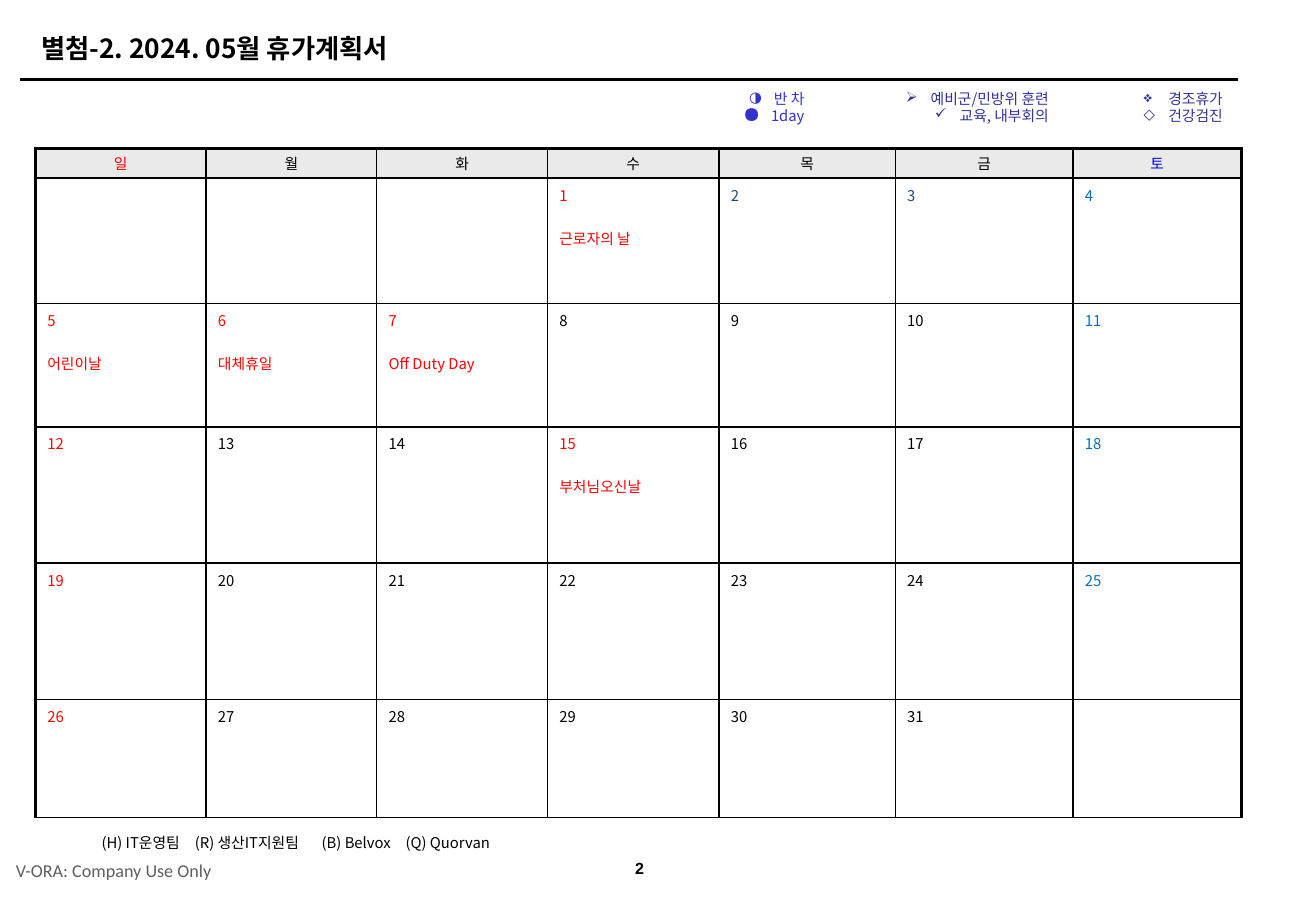
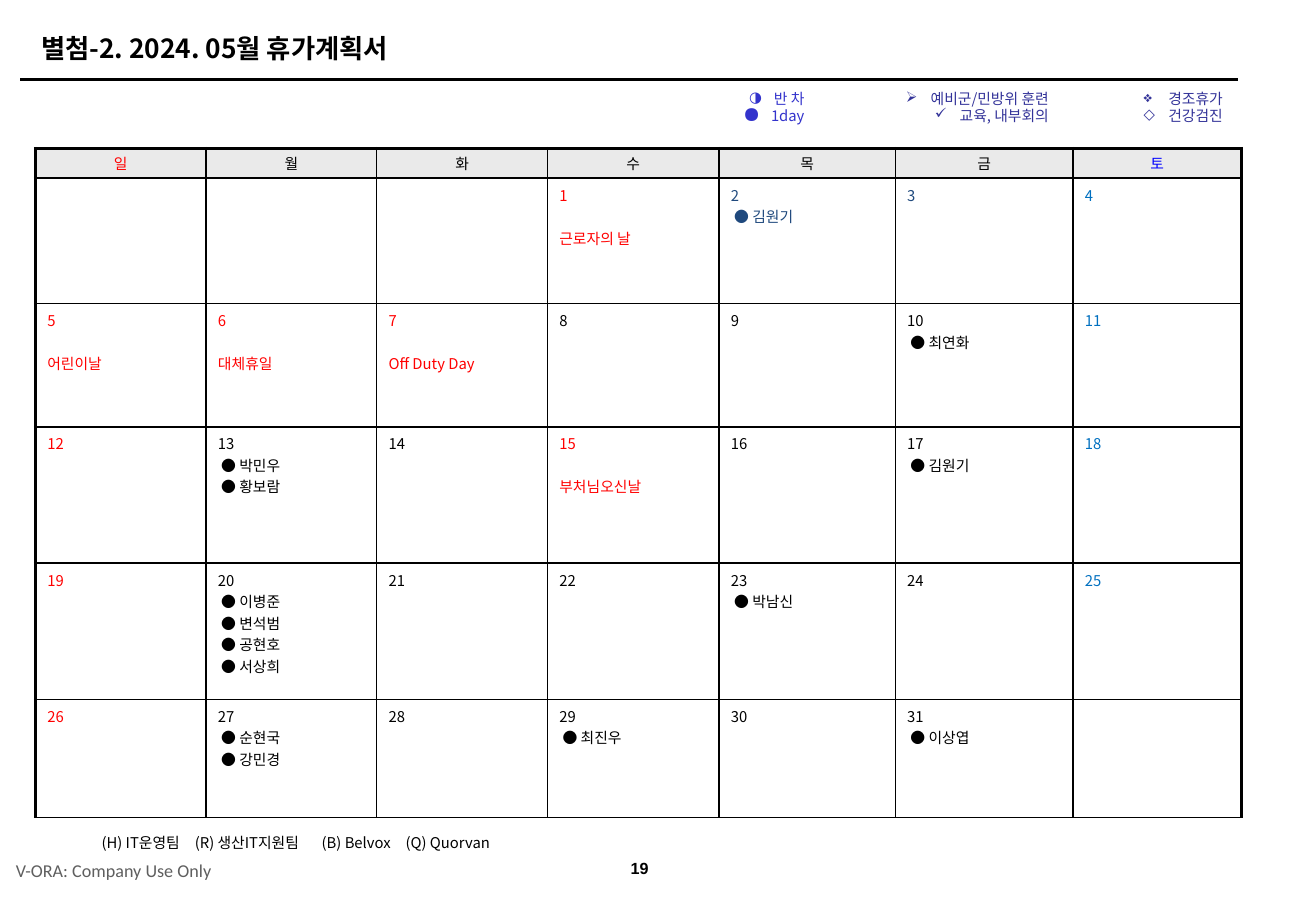
from dataclasses import dataclass, field
from typing import NamedTuple

from lxml.etree import SubElement
from pptx import Presentation
from pptx.dml.color import RGBColor
from pptx.enum.shapes import MSO_CONNECTOR as Connector
from pptx.enum.text import MSO_ANCHOR as Anchor, PP_ALIGN as Align
from pptx.oxml.ns import qn
from pptx.util import Cm, Pt

# Shared look
KOREAN = "Noto Sans CJK KR"
BLACK, RED, BLUE, NAVY, SKY = "000000", "FF0000", "0000FF", "1F497D", "0070C0"
VIOLET, INDIGO, GREY, HEADER_FILL = "3333CC", "333399", "5F5F5F", "EAEAEA"
TITLE = {"name": KOREAN, "size": Pt(16), "bold": True}
BODY = {"name": KOREAN, "size": Pt(9), "bold": False}
FOOTER = {"name": "Calibri", "size": Pt(11), "bold": False}
PAGE_NUMBER = {"name": "Arial", "size": Pt(9.8), "bold": True}

# Calendar data
WEEKDAYS = "일월화수목금토"
FIRST_COLUMN, LAST_DAY = 3, 31
COLUMN_WIDTHS = (3.66, 3.66, 3.66, 3.68, 3.78, 3.81, 3.61)
ROW_HEIGHTS = (0.64, 2.69, 2.64, 2.92, 2.92, 2.54)
HOLIDAYS = {1: "근로자의 날", 5: "어린이날", 6: "대체휴일",
            7: "Off Duty Day", 15: "부처님오신날"}
BRIDGE_DAYS = (2, 3)
LEAVE = {2: ["김원기"], 10: ["최연화"], 13: ["박민우", "황보람"], 17: ["김원기"],
         20: ["이병준", "변석범", "공현호", "서상희"], 23: ["박남신"],
         27: ["순현국", "강민경"], 29: ["최진우"], 31: ["이상엽"]}
TEAMS = ("(H) IT운영팀", "(R) 생산IT지원팀", "(B) Belvox", "(Q) Quorvan")


class Box(NamedTuple):
    left: float
    top: float
    width: float
    height: float


class Bullet(NamedTuple):
    symbol: str
    percent: int = 100


@dataclass
class Line:
    text: str
    color: str = BLACK
    style: dict = field(default_factory=lambda: BODY)
    layout: dict = field(default_factory=dict)
    margin: float = 0
    bullet: Bullet | None = None
    tabs: tuple[float, ...] = ()


@dataclass
class Legend:
    box: Box
    color: str
    items: tuple[tuple[Bullet, str], ...]


LEGENDS = (
    Legend(Box(15.67, 1.83, 1.83, 1.02), VIOLET,
           ((Bullet("◑"), "반 차"), (Bullet("●", 150), " 1day"))),
    Legend(Box(18.82, 1.83, 3.92, 1.02), INDIGO,
           ((Bullet("➢"), "예비군/민방위 훈련"), (Bullet("✓"), "교육, 내부회의"))),
    Legend(Box(21.82, 1.83, 4.65, 1.02), INDIGO,
           ((Bullet("❖"), "경조휴가"), (Bullet("◇"), "건강검진"))),
)


def rgb(color: str) -> RGBColor:
    return RGBColor.from_string(color)


def apply(target, values: dict) -> None:
    for name, value in values.items():
        setattr(target, name, value)


# Text
def add_bullet(properties, bullet: Bullet, color: str) -> None:
    properties.set("indent", str(-int(properties.get("marL"))))
    SubElement(SubElement(properties, qn("a:buClr")), qn("a:srgbClr"), val=color)
    SubElement(properties, qn("a:buSzPct"), val=str(bullet.percent * 1000))
    SubElement(properties, qn("a:buChar"), char=bullet.symbol)


def write(frame, lines: list[Line]) -> None:
    for index, line in enumerate(lines):
        paragraph = frame.add_paragraph() if index else frame.paragraphs[0]
        apply(paragraph, line.layout)
        properties = paragraph._p.get_or_add_pPr()
        if line.margin:
            properties.set("marL", str(Cm(line.margin)))
        if line.bullet:
            add_bullet(properties, line.bullet, line.color)
        if line.tabs:
            tab_list = SubElement(properties, qn("a:tabLst"))
            for position in line.tabs:
                SubElement(tab_list, qn("a:tab"), pos=str(Cm(position)), algn="l")
        run = paragraph.add_run()
        run.text = line.text
        apply(run.font, line.style)
        run.font.color.rgb = rgb(line.color)
        SubElement(run._r.get_or_add_rPr(), qn("a:ea"), typeface=line.style["name"])


def add_text(slide, box: Box, lines: list[Line], anchor=Anchor.MIDDLE) -> None:
    shape = slide.shapes.add_textbox(*map(Cm, box))
    apply(shape.text_frame, {"word_wrap": True, "vertical_anchor": anchor})
    write(shape.text_frame, lines)


# Title, rule, legends and footer
def add_frame(slide, page: int) -> None:
    rule = slide.shapes.add_connector(
        Connector.STRAIGHT, Cm(0.43), Cm(1.7), Cm(26.54), Cm(1.7))
    rule.line.color.rgb = rgb(BLACK)
    rule.line.width = Pt(1.5)
    SubElement(rule._element.spPr, qn("a:effectLst"))

    centred = {"alignment": Align.CENTER}
    add_text(slide, Box(0.64, 0.56, 25.15, 0.94),
             [Line("별첨-2. 2024. 05월 휴가계획서", style=TITLE)])
    add_text(slide, Box(13.03, 18.21, 1.37, 0.79),
             [Line(str(page), style=PAGE_NUMBER, layout=centred)])
    add_text(slide, Box(0, 18.26, 4.88, 0.79),
             [Line("V-ORA: Company Use Only", GREY, FOOTER, centred)])
    add_text(slide, Box(1.93, 17.78, 9.4, 0.61),
             [Line("\t".join(TEAMS), layout={"line_spacing": 0.95},
                   tabs=(2.0, 4.72, 6.52))])
    for legend in LEGENDS:
        add_text(slide, legend.box,
                 [Line(text, legend.color, margin=0.53, bullet=bullet,
                       layout={"alignment": Align.RIGHT, "line_spacing": 0.95})
                  for bullet, text in legend.items], Anchor.TOP)


# Calendar
def day_color(day: int, column: int) -> str:
    if day in HOLIDAYS or column == 0:
        return RED
    if column == len(WEEKDAYS) - 1:
        return SKY
    return NAVY if day in BRIDGE_DAYS else BLACK


def day_lines(day: int, column: int, leave: dict[int, list[str]]) -> list[Line]:
    color = day_color(day, column)
    lines = [Line(str(day), color)]
    if day in HOLIDAYS:
        lines.append(Line(HOLIDAYS[day], color, layout={"space_before": Pt(13)}))
    return lines + [Line(f"● {name}", color, margin=0.07)
                    for name in leave.get(day, [])]


def add_borders(cell, row: int, column: int) -> None:
    widths = {"L": 1 if column else 2,
              "R": 2 if column == len(WEEKDAYS) - 1 else 1,
              "T": 1 if row else 2, "B": 1}
    properties = cell._tc.get_or_add_tcPr()
    for side, width in widths.items():
        border = SubElement(properties, qn(f"a:ln{side}"), w=str(Pt(width)))
        SubElement(SubElement(border, qn("a:solidFill")), qn("a:srgbClr"), val=BLACK)


def add_calendar(slide, leave: dict[int, list[str]]) -> None:
    box = Box(0.76, 3.18, sum(COLUMN_WIDTHS), sum(ROW_HEIGHTS))
    table = slide.shapes.add_table(
        len(ROW_HEIGHTS), len(COLUMN_WIDTHS), *map(Cm, box)).table
    apply(table, {"first_row": False, "horz_banding": False})
    for column, width in zip(table.columns, COLUMN_WIDTHS):
        column.width = Cm(width)
    for row, height in zip(table.rows, ROW_HEIGHTS):
        row.height = Cm(height)

    for row in range(len(ROW_HEIGHTS)):
        for column, weekday in enumerate(WEEKDAYS):
            cell = table.cell(row, column)
            add_borders(cell, row, column)
            if row == 0:
                color = {0: RED, 6: BLUE}.get(column, BLACK)
                apply(cell, {"vertical_anchor": Anchor.MIDDLE,
                             "margin_top": Cm(0.08), "margin_bottom": Cm(0.08)})
                cell.fill.solid()
                cell.fill.fore_color.rgb = rgb(HEADER_FILL)
                write(cell.text_frame,
                      [Line(weekday, color, layout={"alignment": Align.CENTER})])
                continue
            cell.fill.background()
            day = (row - 1) * len(WEEKDAYS) + column - FIRST_COLUMN + 1
            if 1 <= day <= LAST_DAY:
                write(cell.text_frame, day_lines(day, column, leave))


def main() -> None:
    presentation = Presentation()
    apply(presentation, {"slide_width": Cm(28.22), "slide_height": Cm(19.23)})
    for page, leave in ((2, {}), (19, LEAVE)):
        slide = presentation.slides.add_slide(presentation.slide_layouts[6])
        add_calendar(slide, leave)
        add_frame(slide, page)
    presentation.save("out.pptx")


if __name__ == "__main__":
    main()
